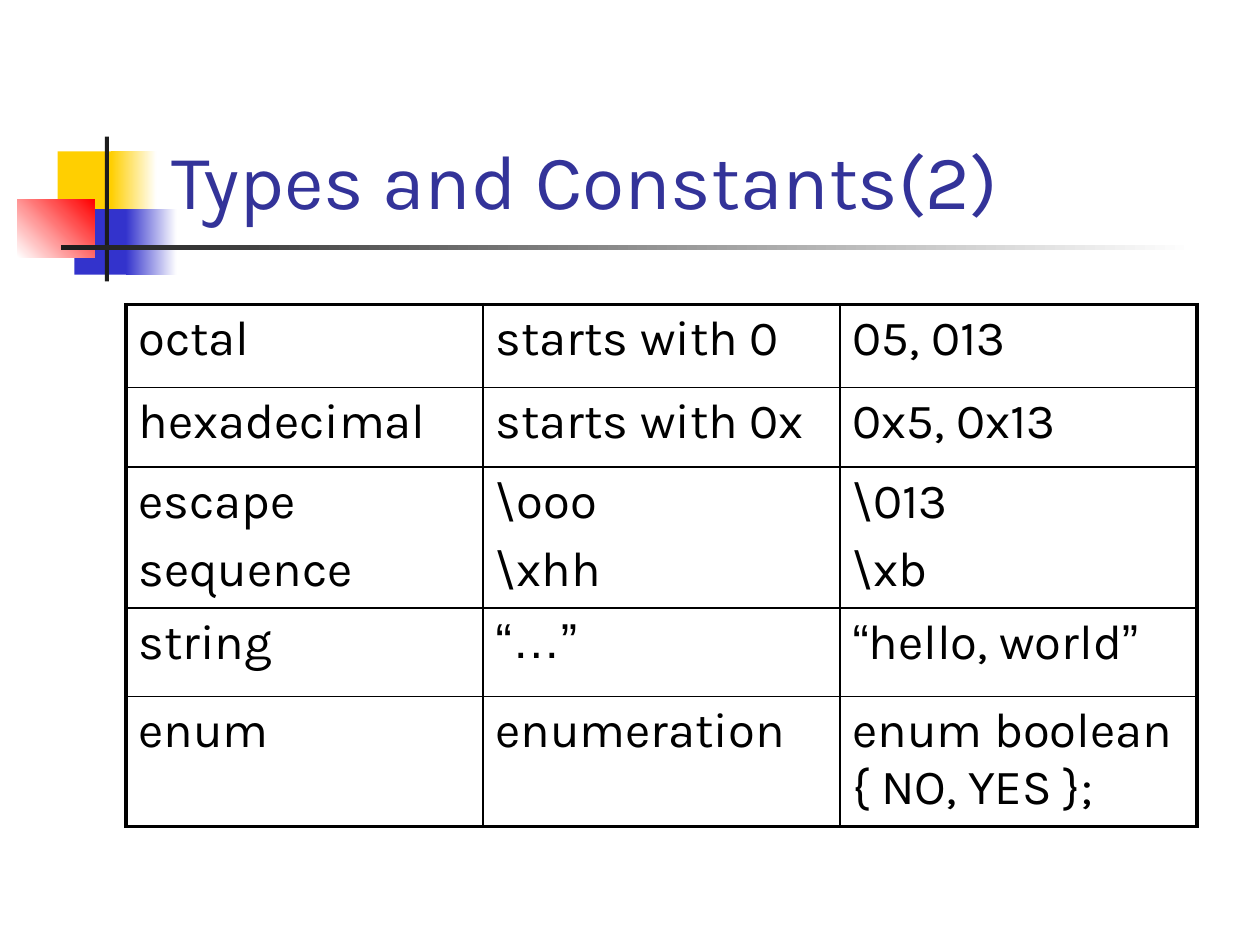
import pptx
import pptx.dml.color
import pptx.enum.shapes
import pptx.enum.text
import pptx.oxml
import pptx.oxml.ns
import pptx.util

Pt = pptx.util.Pt


def colour(code):
    """Turn a hex string into a colour."""
    return pptx.dml.color.RGBColor.from_string(code)


class Painter:
    """Holds the style and the current slide."""

    font = "Karla"
    quote_font = "Arial"
    ink = "000000"
    title_ink = "333399"
    thick, thin = 2.25, 1

    def __init__(self, page):
        """Keep the slide to draw on."""
        self.page = page

    def block(self, left, top, width, height, start, end=None, angle=0):
        """Draw a borderless rectangle, plain or fading from start to end."""
        box = self.page.shapes.add_shape(
            pptx.enum.shapes.MSO_SHAPE.RECTANGLE,
            Pt(left), Pt(top), Pt(width), Pt(height))
        box.shadow.inherit = False
        box.line.fill.background()
        if end is None:
            box.fill.solid()
            box.fill.fore_color.rgb = colour(start)
            return
        box.fill.gradient()
        box.fill.gradient_angle = angle
        for stop, code in zip(box.fill.gradient_stops, (start, end)):
            stop.color.rgb = colour(code)

    def add_span(self, para, text, size, code, font):
        """Add one run of text."""
        span = para.add_run()
        span.text = text
        span.font.size = Pt(size)
        span.font.name = font
        span.font.color.rgb = colour(code)

    def title(self, left, top, width, height, text):
        """Add the slide title, resting on the bottom of its box."""
        box = self.page.shapes.add_textbox(Pt(left), Pt(top), Pt(width), Pt(height))
        frame = box.text_frame
        frame.word_wrap = True
        frame.vertical_anchor = pptx.enum.text.MSO_ANCHOR.BOTTOM
        self.add_span(frame.paragraphs[0], text, 44, self.title_ink, self.font)

    def border(self, cell, side, width):
        """Draw one side of a cell's border."""
        properties = cell._tc.get_or_add_tcPr()
        properties.append(pptx.oxml.parse_xml(
            f'<a:{side} {pptx.oxml.ns.nsdecls("a")} w="{Pt(width)}"><a:solidFill>'
            f'<a:srgbClr val="{self.ink}"/></a:solidFill></a:{side}>'))

    def cell(self, cell, lines, outer):
        """Fill one cell; outer tells which sides lie on the table's edge."""
        for side, edge in outer.items():
            self.border(cell, side, self.thick if edge else self.thin)
        cell.fill.background()
        frame = cell.text_frame
        for index, line in enumerate(lines):
            para = frame.paragraphs[0] if index == 0 else frame.add_paragraph()
            para.space_before = Pt(6)
            for text in line:
                font = self.quote_font if text[0] in "“”" else self.font
                self.add_span(para, text, 28, self.ink, font)

    def table(self, left, top, width, heights, rows):
        """Draw a table with equal columns and a heavy outline."""
        last_row, last_column = len(rows) - 1, len(rows[0]) - 1
        table = self.page.shapes.add_table(
            len(rows), len(rows[0]), Pt(left), Pt(top),
            Pt(width), Pt(sum(heights))).table
        table.first_row = table.horz_banding = False
        for r, (height, row) in enumerate(zip(heights, rows)):
            table.rows[r].height = Pt(height)
            for c, lines in enumerate(row):
                outer = {"lnL": c == 0, "lnR": c == last_column,
                         "lnT": r == 0, "lnB": r == last_row}
                self.cell(table.cell(r, c), lines, outer)


def main():
    """Build the slide and save it."""
    deck = pptx.Presentation()
    deck.slide_width, deck.slide_height = Pt(720), Pt(540)
    painter = Painter(deck.slides.add_slide(deck.slide_layouts[6]))

    white, yellow, blue, red, dark = "FFFFFF", "FFCF01", "3333CC", "FF0000", "1C1C1C"
    painter.block(33, 86.5, 34.5, 37.5, yellow)
    painter.block(63.5, 86.5, 26, 37.5, yellow, white)
    painter.block(42.5, 119.5, 33, 37.5, blue)
    painter.block(72, 119.5, 29, 37.5, blue, white)
    painter.block(10, 113.8, 44, 33.2, white, red, 45)
    painter.block(60, 78, 2.2, 82.8, dark)
    painter.block(34.6, 140.2, 648, 2.4, dark, white)
    painter.title(90.7, 16.6, 613.4, 115.2, "Types and Constants(2)")

    rows = [
        [[["octal"]], [["starts with 0"]], [["05, 013"]]],
        [[["hexadecimal"]], [["starts with 0x"]], [["0x5, 0x13"]]],
        [[["escape"], ["sequence"]], [["\\ooo"], ["\\xhh"]], [["\\013"], ["\\xb"]]],
        [[["string"]], [["“…”"]], [["“", "hello, world", "”"]]],
        [[["enum"]], [["enumeration"]], [["enum boolean { NO, YES };"]]],
    ]
    painter.table(72, 174, 612, [47.5, 45.5, 78, 50.5, 72.5], rows)
    deck.save("out.pptx")


if __name__ == "__main__":
    main()
